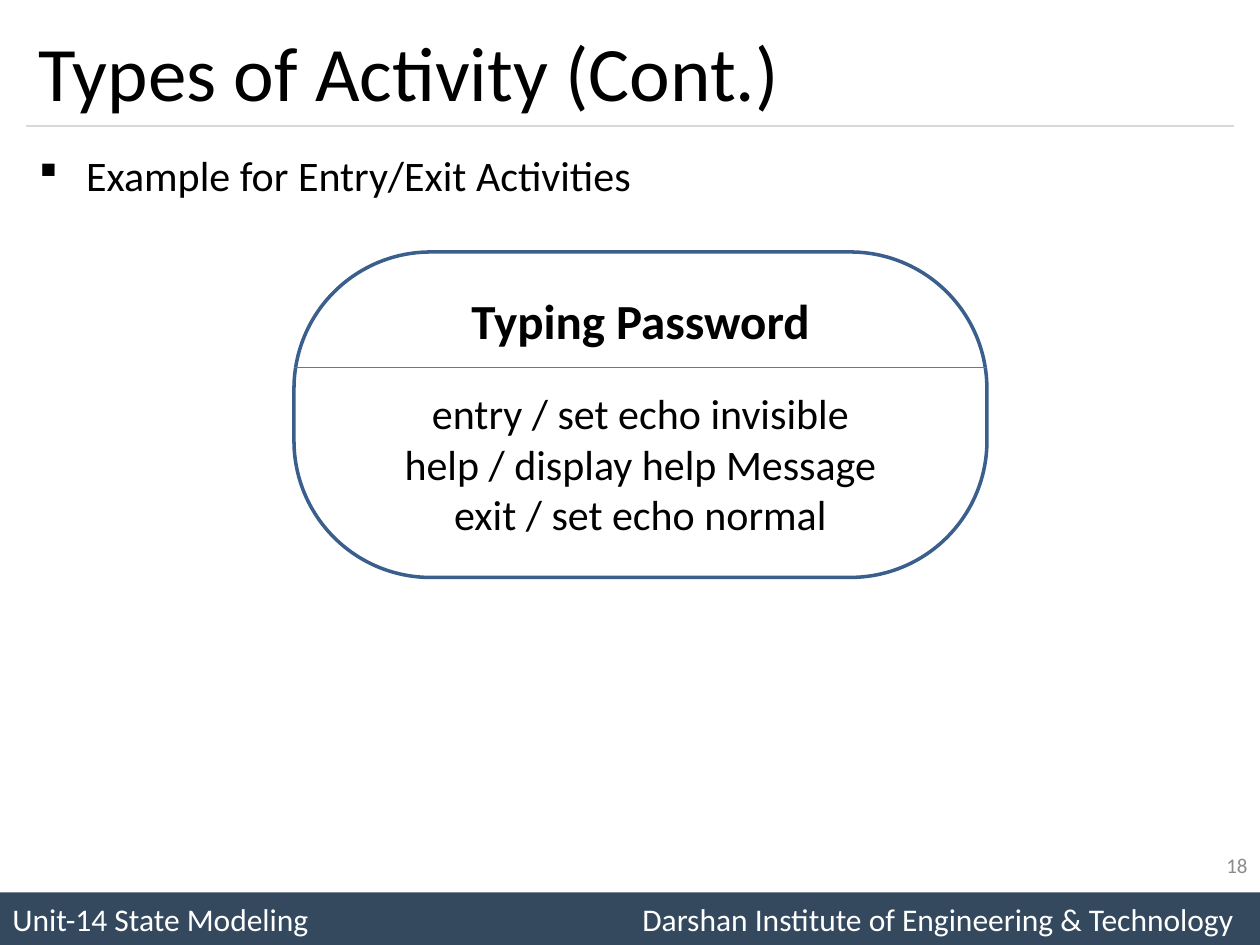
from dataclasses import dataclass

import pptx
import pptx.dml.color
import pptx.enum.shapes
import pptx.enum.text
import pptx.oxml
import pptx.oxml.ns
import pptx.util

Pt = pptx.util.Pt
Align = pptx.enum.text.PP_ALIGN
Anchor = pptx.enum.text.MSO_ANCHOR
ShapeType = pptx.enum.shapes.MSO_SHAPE

FONT = "Calibri"
BLACK, WHITE, GREY = "000000", "FFFFFF", "8C8C8C"
SLATE, RULE_GREY = "34495E", "D9D9D9"
STATE_OUTLINE, STATE_DIVIDER = "3A5F8C", "4B7EBC"

SLIDE_WIDTH, SLIDE_HEIGHT = 720, 540
MARGIN = 15
CONTENT_WIDTH = SLIDE_WIDTH - 2 * MARGIN
RULE_Y = 72
FOOTER_HEIGHT = 30


@dataclass(frozen=True)
class Box:
    left: float
    top: float
    width: float
    height: float

    def lengths(self) -> tuple:
        return Pt(self.left), Pt(self.top), Pt(self.width), Pt(self.height)


@dataclass(frozen=True)
class Line:
    text: str
    size: float
    color: str = BLACK
    bold: bool = False
    space_before: float = 0


STATE_BOX = Box(168, 144, 396, 186)
STATE_DIVIDER_Y = 210
STATE_LINES = [
    Line("Typing Password", 28, bold=True),
    Line("entry / set echo invisible", 24, space_before=22),
    Line("help / display help Message", 24),
    Line("exit / set echo normal", 24),
]


def rgb(color: str):
    return pptx.dml.color.RGBColor.from_string(color)


def place(shape, box: Box) -> None:
    shape.left, shape.top, shape.width, shape.height = box.lengths()


def write(shape, lines: list[Line], alignment, anchor) -> None:
    frame = shape.text_frame
    frame.word_wrap = True
    frame.auto_size = pptx.enum.text.MSO_AUTO_SIZE.NONE
    frame.vertical_anchor = anchor
    for index, line in enumerate(lines):
        paragraph = frame.add_paragraph() if index else frame.paragraphs[0]
        paragraph.alignment = alignment
        paragraph.space_before = Pt(line.space_before)
        run = paragraph.add_run()
        run.text = line.text
        run.font.name = FONT
        run.font.size = Pt(line.size)
        run.font.bold = line.bold
        run.font.color.rgb = rgb(line.color)


def add_filled_shape(slide, kind, box: Box, fill: str):
    shape = slide.shapes.add_shape(kind, *box.lengths())
    shape.shadow.inherit = False
    shape.fill.solid()
    shape.fill.fore_color.rgb = rgb(fill)
    shape.line.fill.background()
    return shape


def add_horizontal_line(slide, left: float, right: float, y: float, color: str) -> None:
    connector = slide.shapes.add_connector(
        pptx.enum.shapes.MSO_CONNECTOR.STRAIGHT, Pt(left), Pt(y), Pt(right), Pt(y)
    )
    connector.line.color.rgb = rgb(color)
    connector.line.width = Pt(0.75)
    properties = connector.element.spPr
    properties.append(properties.makeelement(pptx.oxml.ns.qn("a:effectLst"), {}))


def add_paragraph_element(paragraph, xml: str) -> None:
    namespace = pptx.oxml.ns.nsdecls("a")
    paragraph._p.get_or_add_pPr().append(pptx.oxml.parse_xml(xml.format(namespace)))


def set_square_bullet(paragraph, indent: float) -> None:
    add_paragraph_element(paragraph, '<a:buFont {} typeface="Wingdings"/>')
    add_paragraph_element(paragraph, '<a:buChar {} char="§"/>')
    properties = paragraph._p.get_or_add_pPr()
    properties.set("marL", str(Pt(indent)))
    properties.set("indent", str(-Pt(indent)))


def add_footer(slide) -> None:
    box = Box(0, SLIDE_HEIGHT - FOOTER_HEIGHT, SLIDE_WIDTH, FOOTER_HEIGHT)
    footer = add_filled_shape(slide, ShapeType.RECTANGLE, box, SLATE)
    tab_stop = f'<a:tabLst {{}}><a:tab pos="{Pt(360)}" algn="l"/></a:tabLst>'
    add_paragraph_element(footer.text_frame.paragraphs[0], tab_stop)
    text = "Unit-14 State Modeling\tDarshan Institute of Engineering & Technology"
    write(footer, [Line(text, 18, WHITE)], Align.LEFT, Anchor.MIDDLE)


def add_state(slide) -> None:
    state = add_filled_shape(slide, ShapeType.ROUNDED_RECTANGLE, STATE_BOX, WHITE)
    state.adjustments[0] = 0.42
    state.line.color.rgb = rgb(STATE_OUTLINE)
    state.line.width = Pt(2)
    write(state, STATE_LINES, Align.CENTER, Anchor.MIDDLE)
    right = STATE_BOX.left + STATE_BOX.width
    add_horizontal_line(slide, STATE_BOX.left, right, STATE_DIVIDER_Y, STATE_DIVIDER)


def main() -> None:
    presentation = pptx.Presentation()
    presentation.slide_width = Pt(SLIDE_WIDTH)
    presentation.slide_height = Pt(SLIDE_HEIGHT)
    slide = presentation.slides.add_slide(presentation.slide_layouts[1])

    add_footer(slide)
    add_horizontal_line(slide, MARGIN, SLIDE_WIDTH - MARGIN, RULE_Y, RULE_GREY)

    title = slide.shapes.title
    place(title, Box(MARGIN, 9, CONTENT_WIDTH, 63))
    write(title, [Line("Types of Activity (Cont.)", 44)], Align.LEFT, Anchor.MIDDLE)

    body = slide.placeholders[1]
    place(body, Box(MARGIN, 78, CONTENT_WIDTH, 420))
    bullet = body.text_frame.paragraphs[0]
    set_square_bullet(bullet, 27)
    write(body, [Line("Example for Entry/Exit Activities", 24)], Align.JUSTIFY, Anchor.TOP)
    bullet.line_spacing = 1.14

    number = slide.shapes.add_textbox(*Box(552, 480, 168, 29).lengths())
    write(number, [Line("18", 12, GREY)], Align.RIGHT, Anchor.MIDDLE)

    add_state(slide)
    presentation.save("out.pptx")


if __name__ == "__main__":
    main()
